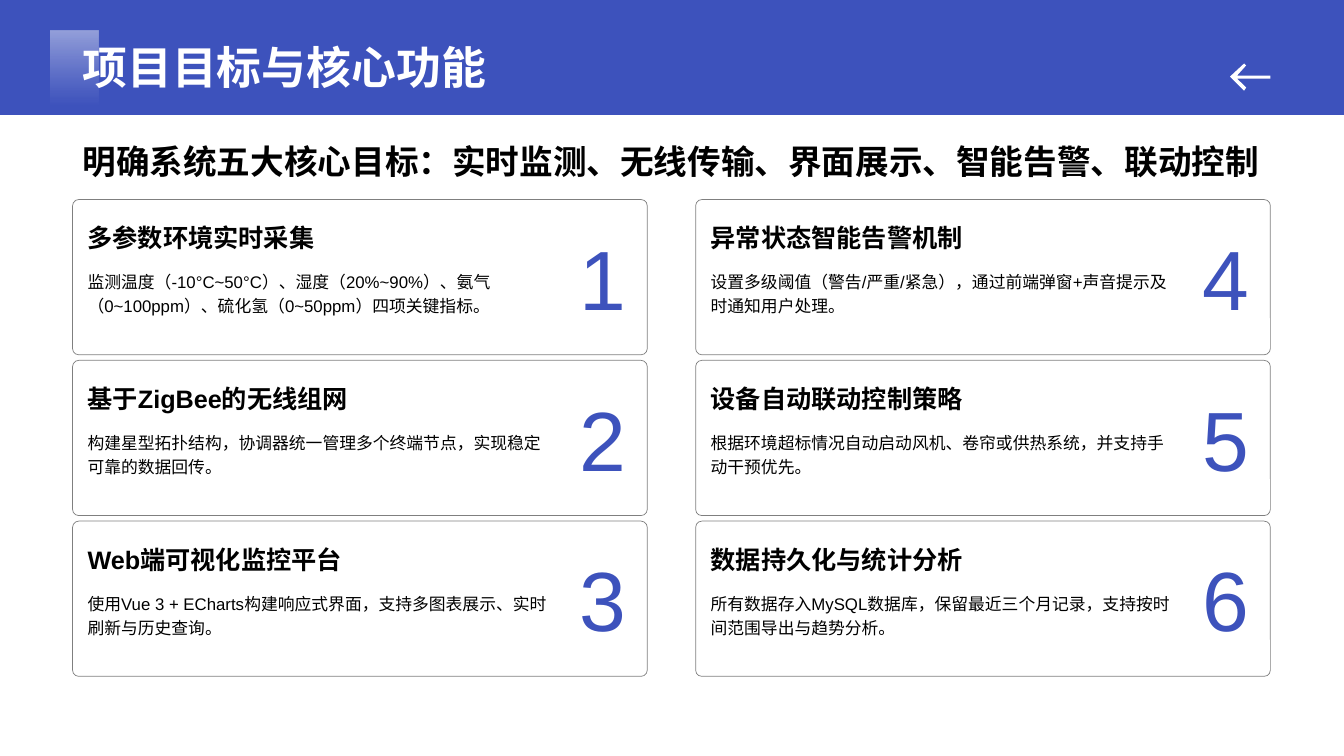
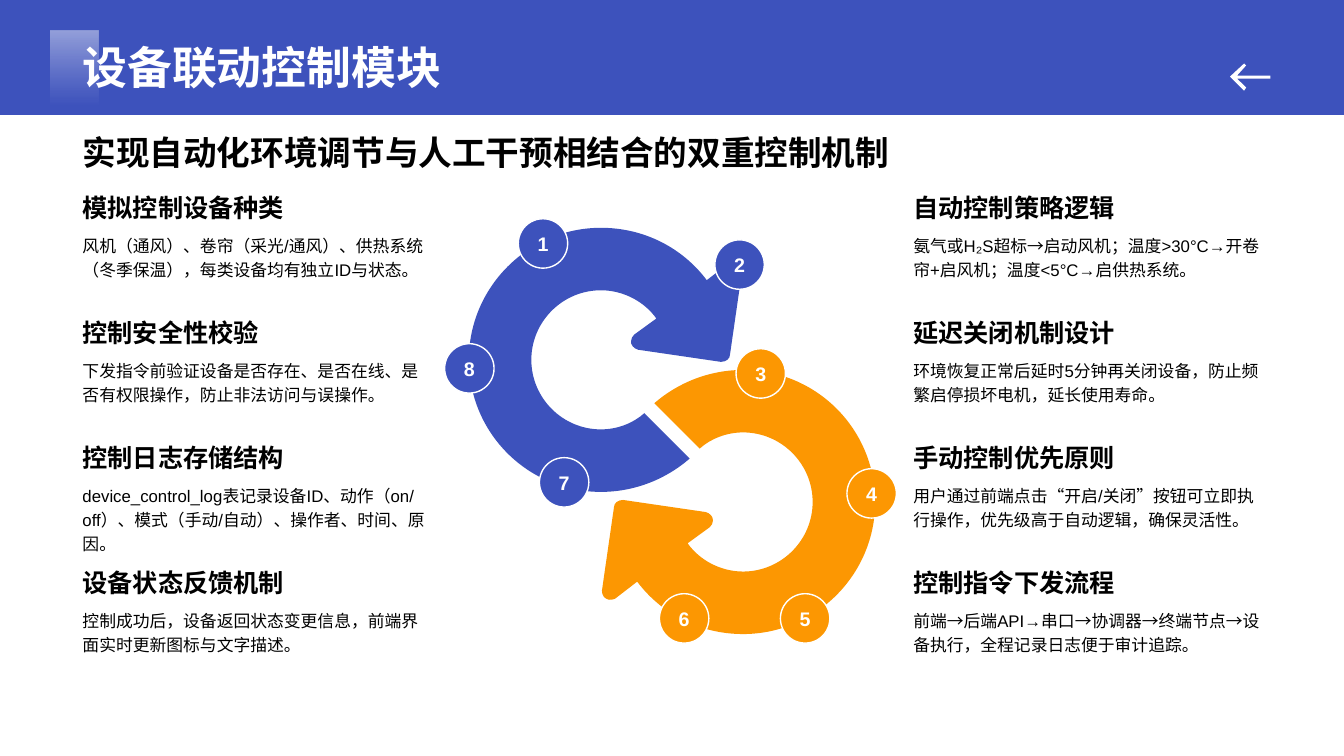
from dataclasses import dataclass

from lxml import etree
from pptx import Presentation
from pptx.dml.color import RGBColor
from pptx.enum.lang import MSO_LANGUAGE_ID
from pptx.enum.shapes import MSO_SHAPE
from pptx.enum.text import MSO_ANCHOR, PP_ALIGN
from pptx.oxml.ns import qn
from pptx.util import Inches, Pt

RECT, ROUND, OVAL = MSO_SHAPE.RECTANGLE, MSO_SHAPE.ROUNDED_RECTANGLE, MSO_SHAPE.OVAL
TOP, MID, LOW = MSO_ANCHOR.TOP, MSO_ANCHOR.MIDDLE, MSO_ANCHOR.BOTTOM
LEFT, MIDST, RIGHT = PP_ALIGN.LEFT, PP_ALIGN.CENTER, PP_ALIGN.RIGHT
TONGUE = MSO_LANGUAGE_ID.SIMPLIFIED_CHINESE


@dataclass(frozen=True)
class Theme:
    """Colours, font and type sizes of the deck."""
    blue: str = "3D52BC"
    gold: str = "FC9702"
    pale: str = "D8DCF2"
    white: str = "FFFFFF"
    black: str = "000000"
    face: str = "Arial"
    title: int = 32
    lead: int = 24
    head: int = 18
    body: int = 12
    badge: int = 14
    digit: int = 60


T = Theme()

CARDS = [
    ("多参数环境实时采集", "监测温度（-10°C~50°C）、湿度（20%~90%）、氨气（0~100ppm）、硫化氢（0~50ppm）四项关键指标。"),
    ("基于ZigBee的无线组网", "构建星型拓扑结构，协调器统一管理多个终端节点，实现稳定可靠的数据回传。"),
    ("Web端可视化监控平台", "使用Vue 3 + ECharts构建响应式界面，支持多图表展示、实时刷新与历史查询。"),
    ("异常状态智能告警机制", "设置多级阈值（警告/严重/紧急），通过前端弹窗+声音提示及时通知用户处理。"),
    ("设备自动联动控制策略", "根据环境超标情况自动启动风机、卷帘或供热系统，并支持手动干预优先。"),
    ("数据持久化与统计分析", "所有数据存入MySQL数据库，保留最近三个月记录，支持按时间范围导出与趋势分析。"),
]

NOTES = [
    ("模拟控制设备种类", "风机（通风）、卷帘（采光/通风）、供热系统（冬季保温），每类设备均有独立ID与状态。"),
    ("控制安全性校验", "下发指令前验证设备是否存在、是否在线、是否有权限操作，防止非法访问与误操作。"),
    ("控制日志存储结构", "device_control_log表记录设备ID、动作（on/off）、模式（手动/自动）、操作者、时间、原因。"),
    ("设备状态反馈机制", "控制成功后，设备返回状态变更信息，前端界面实时更新图标与文字描述。"),
    ("自动控制策略逻辑", "氨气或H₂S超标→启动风机；温度>30°C→开卷帘+启风机；温度<5°C→启供热系统。"),
    ("延迟关闭机制设计", "环境恢复正常后延时5分钟再关闭设备，防止频繁启停损坏电机，延长使用寿命。"),
    ("手动控制优先原则", "用户通过前端点击“开启/关闭”按钮可立即执行操作，优先级高于自动逻辑，确保灵活性。"),
    ("控制指令下发流程", "前端→后端API→串口→协调器→终端节点→设备执行，全程记录日志便于审计追踪。"),
]

BADGES = [
    (0.49, -1.40, T.blue), (2.44, -1.19, T.blue), (2.65, -0.11, T.gold), (3.75, 1.08, T.gold),
    (3.09, 2.32, T.gold), (1.89, 2.32, T.gold), (0.70, 0.97, T.blue), (-0.24, -0.16, T.blue),
]

ARROW = [
    [(0.14, -0.13)], [(0.16, -0.11)], [(0.07, -0.01)], [(0.40, -0.01)], [(0.40, 0.02)],
    [(0.07, 0.02)], [(0.16, 0.11)], [(0.14, 0.14)], [(0, 0)],
]

RING = [
    [(0, 0.69)],
    [(0.16, 0.69), (0.32, 0.63), (0.43, 0.53)],
    [(0.88, 0.98)],
    [(0.65, 1.18), (0.34, 1.31), (0, 1.31)],
    [(-0.72, 1.31), (-1.31, 0.73), (-1.31, 0)],
    [(-1.31, -0.72), (-0.72, -1.31), (0, -1.31)],
    [(0.43, -1.31), (0.81, -1.11), (1.05, -0.79)],
    [(1.27, -0.96)],
    [(1.29, -0.97), (1.31, -0.97), (1.33, -0.97)],
    [(1.38, -0.96), (1.40, -0.92), (1.40, -0.88)],
    [(1.28, -0.05)],
    [(1.28, -0.01), (1.24, 0.02), (1.19, 0.02)],
    [(0.37, -0.10)],
    [(0.33, -0.11), (0.29, -0.15), (0.30, -0.19)],
    [(0.30, -0.21), (0.31, -0.23), (0.33, -0.25)],
    [(0.55, -0.41)],
    [(0.43, -0.58), (0.22, -0.69), (0, -0.69)],
    [(-0.38, -0.69), (-0.69, -0.38), (-0.69, 0)],
    [(-0.69, 0.38), (-0.38, 0.69), (0, 0.69)],
]


def fade(color, share):
    """Give a colour element an opacity in percent."""
    etree.SubElement(color, qn("a:alpha"), val=str(share * 1000))


def paint(shape, fill=None, edge=None, width=1):
    """Set the fill and outline of a shape and drop its shadow."""
    shape.shadow.inherit = False
    for part, tint in ((shape.fill, fill), (shape.line.fill, edge)):
        if tint:
            part.solid()
            part.fore_color.rgb = RGBColor.from_string(tint)
        else:
            part.background()
    if edge:
        shape.line.width = Pt(width)
    return shape


def block(slide, kind, x, y, w, h, **look):
    """Add a painted preset shape."""
    return paint(slide.shapes.add_shape(kind, *map(Inches, (x, y, w, h))), **look)


def trace(slide, x, y, steps, fill, sign=1):
    """Add a closed outline around a point; steps of three points are curves."""
    dots = [(Inches(x + sign * a), Inches(y + sign * b)) for step in steps for a, b in step]
    pen = slide.shapes.build_freeform(*dots[0])
    pen.add_line_segments(dots[1:], close=True)
    shape = paint(pen.convert_to_shape(), fill)
    lines = shape._element.iter(qn("a:lnTo"))
    queue = list(lines)
    for step in steps[1:]:
        part, queue = queue[:len(step)], queue[len(step):]
        if len(part) == 3:
            curve = etree.Element(qn("a:cubicBezTo"))
            part[0].addprevious(curve)
            for line in part:
                curve.append(line[0])
                line.getparent().remove(line)


def write(shape, text, size, tint=T.black, bold=False, anchor=MID, align=LEFT, space=None):
    """Write one styled paragraph into a shape."""
    frame = shape.text_frame
    para = frame.paragraphs[0]
    run = para.add_run()
    run.text = text
    looks = {
        frame: {"word_wrap": True, "vertical_anchor": anchor},
        para: {"alignment": align, "line_spacing": space},
        run.font: {"name": T.face, "size": Pt(size), "bold": bold, "language_id": TONGUE},
    }
    for item, look in looks.items():
        for name, value in look.items():
            setattr(item, name, value)
    run.font.color.rgb = RGBColor.from_string(tint)


def label(slide, x, y, w, h, text, size, **look):
    """Add a text box."""
    write(slide.shapes.add_textbox(*map(Inches, (x, y, w, h))), text, size, **look)


def band(slide, title):
    """Draw the title band with its accent, arrow and title."""
    block(slide, RECT, 0, 0, 13.33, 1.14, fill=T.blue)
    glow = block(slide, RECT, 0.5, 0.3, 0.48, 0.83).fill
    glow.gradient()
    glow.gradient_angle = 270
    for stop, (spot, tint, share) in zip(glow.gradient_stops, ((0, T.white, 45), (0.9, T.pale, 0))):
        stop.position = spot
        stop.color.rgb = RGBColor.from_string(tint)
        fade(stop._gs[0], share)
    trace(slide, 12.2, 0.76, [[(0, 0)]] + ARROW[:-1], T.white)
    label(slide, 0.72, 0.31, 11.42, 0.67, title, T.title, tint=T.white, bold=True, anchor=LOW)


def entry(slide, x, y, w, gap, deep, head, body):
    """Place a heading with its text below."""
    label(slide, x, y, w, gap, head, T.head, bold=True, space=1.2)
    label(slide, x, y + gap, w, deep, body, T.body, anchor=TOP, space=1.2)


def card(slide, x, y, digit, head, body):
    """Draw a numbered card."""
    entry(slide, x + 0.05, y + 0.07, 4.76, 0.56, 0.84, head, body)
    box = block(slide, ROUND, x, y, 5.7, 1.54, edge=T.black, width=0.5)
    box.adjustments[0] = 0.04
    fade(box.line.fill._xPr.find(qn("a:solidFill"))[0], 50)
    label(slide, x + 4.82, y + 0.09, 0.77, 1.35, str(digit), T.digit, tint=T.blue, align=RIGHT)


def rings(slide, x, y):
    """Draw two interlocked ring arrows with badges, from the first centre."""
    for shift, sign, tint in ((0, 1, T.blue), (1.41, -1, T.gold)):
        trace(slide, x + shift, y + shift, RING, tint, sign)
    for num, (a, b, tint) in enumerate(BADGES, 1):
        dot = block(slide, OVAL, x - 1.31 + a, y + b, 0.49, 0.49, fill=tint, edge=T.white)
        write(dot, str(num), T.badge, tint=T.white, bold=True, align=MIDST)


def goals(slide):
    """Build the slide of goals and functions."""
    band(slide, "项目目标与核心功能")
    label(slide, 0.72, 1.24, 11.88, 0.72, "明确系统五大核心目标：实时监测、无线传输、界面展示、智能告警、联动控制", T.lead, bold=True)
    pitch = (5.17 - 1.98) / 2
    for i, texts in enumerate(CARDS):
        col, row = divmod(i, 3)
        card(slide, 0.72 + 6.18 * col, 1.98 + pitch * row, i + 1, *texts)


def control(slide):
    """Build the slide of device control."""
    band(slide, "设备联动控制模块")
    rings(slide, 5.96, 3.57)
    label(slide, 0.72, 1.24, 11.88, 0.5, "实现自动化环境调节与人工干预相结合的双重控制机制", T.lead, bold=True, space=1.1)
    for i, texts in enumerate(NOTES):
        col, row = divmod(i, 4)
        entry(slide, 0.72 + 8.24 * col, 1.81 + 1.24 * row, 3.64, 0.44, 0.74, *texts)


def main():
    """Build and save the deck."""
    deck = Presentation()
    deck.slide_width, deck.slide_height = Inches(13.33), Inches(7.5)
    for build in (goals, control):
        build(deck.slides.add_slide(deck.slide_layouts[6]))
    deck.save("out.pptx")


if __name__ == "__main__":
    main()
